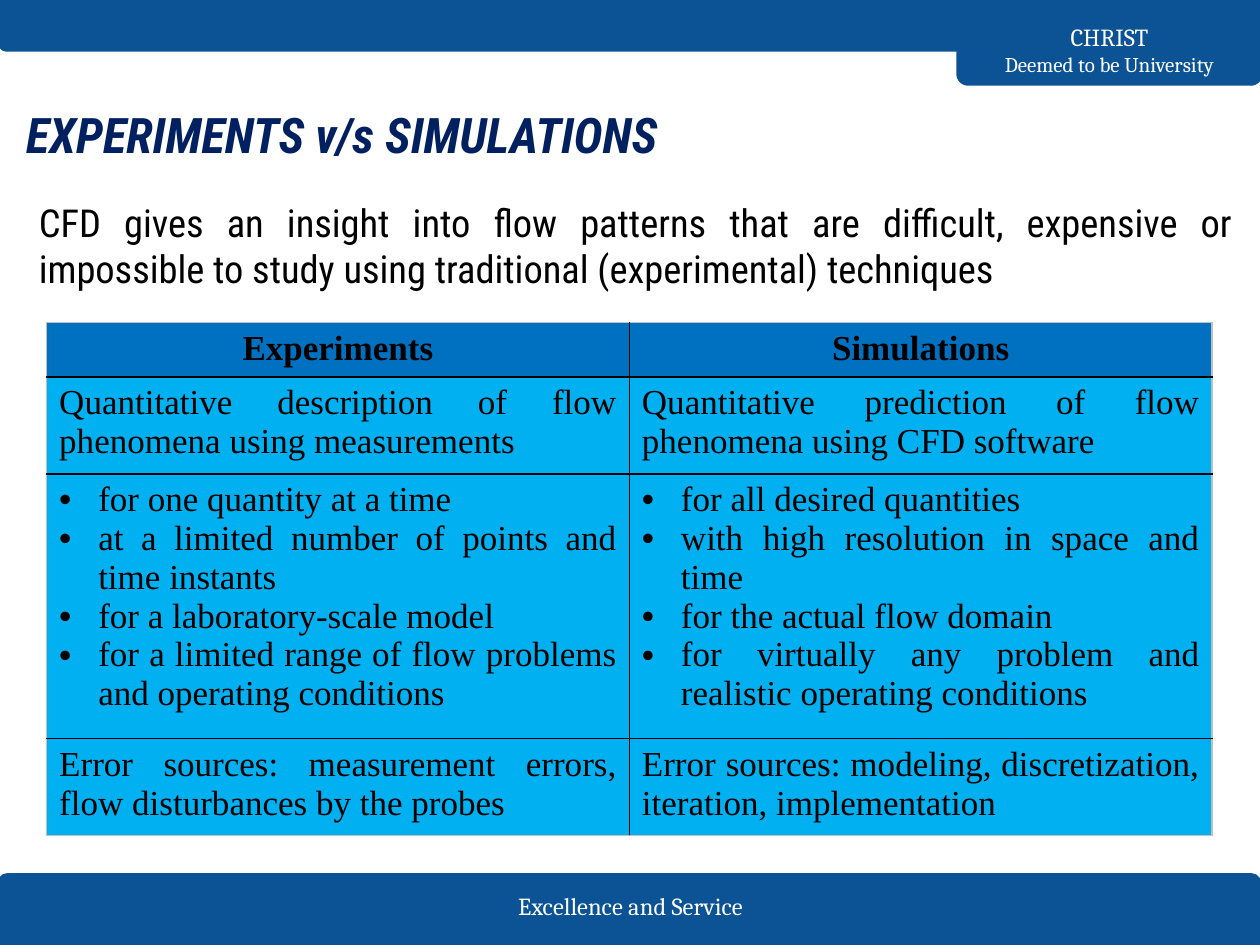
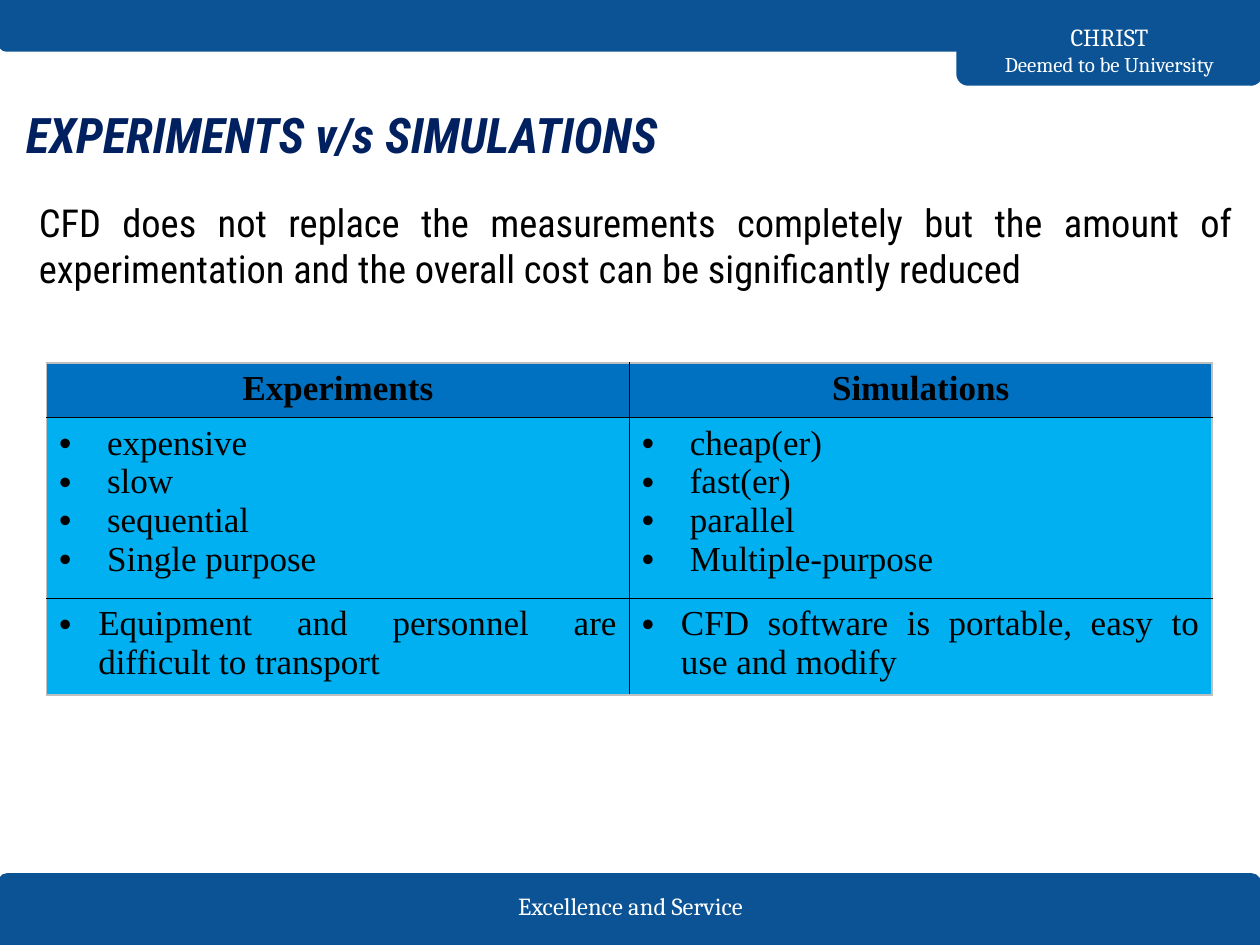
import lxml.etree
import pptx
import pptx.dml.color
import pptx.enum.shapes
import pptx.enum.text
import pptx.oxml.ns
import pptx.util

presentation = pptx.Presentation()
presentation.slide_width = pptx.util.Inches(10)
presentation.slide_height = pptx.util.Inches(7.5)
column = presentation.slide_width / 100
row = presentation.slide_height / 75

colours = {
    "band": "0B5394", "white": "FFFFFF", "title": "002060", "black": "000000",
    "header": "0070C0", "cell": "00B0F0", "edge": "BFBFBF",
}
align = pptx.enum.text.PP_ALIGN
anchor = pptx.enum.text.MSO_ANCHOR
point = pptx.util.Pt

fonts = {
    "band": ({"name": "Cambria", "size": point(14)}, "white"),
    "band small": ({"name": "Cambria", "size": point(12)}, "white"),
    "title": ({"name": "Roboto Condensed", "size": point(28), "bold": True, "italic": True}, "title"),
    "body": ({"name": "Roboto Condensed", "size": point(22)}, "black"),
    "header": ({"name": "Times New Roman", "size": point(20), "bold": True}, "black"),
    "cell": ({"name": "Times New Roman", "size": point(20), "bold": False}, "black"),
}

bands = [
    (-0.1, 69.4, 100.1, 5.6, 0),
    (76, 0, 24.1, 6.7, 180),
    (0, 0, 100.1, 4, 180),
]
title = "EXPERIMENTS v/s SIMULATIONS"
headings = ["Experiments", "Simulations"]
wide, narrow = 3.8, 3.1

slides = [
    {
        "lead": "CFD gives an insight into flow patterns that are difficult, expensive or "
                "impossible to study using traditional (experimental) techniques",
        "top": 25.6,
        "rows": [
            (7.1, 0, ["Quantitative description of flow phenomena using measurements"],
             ["Quantitative prediction of flow phenomena using CFD software"]),
            (19.5, narrow,
             ["for one quantity at a time",
              "at a limited number of points and time instants",
              "for a laboratory-scale model",
              "for a limited range of flow problems and operating conditions"],
             ["for all desired quantities",
              "with high resolution in space and time",
              "for the actual flow domain",
              "for virtually any problem and realistic operating conditions"]),
            (7.1, 0, ["Error sources: measurement errors, flow disturbances by the probes"],
             ["Error sources: modeling, discretization, iteration, implementation"]),
        ],
    },
    {
        "lead": "CFD does not replace the measurements completely but the amount of "
                "experimentation and the overall cost can be significantly reduced",
        "top": 28.8,
        "rows": [
            (13.3, wide, ["expensive", "slow", "sequential", "Single purpose"],
             ["cheap(er)", "fast(er)", "parallel", "Multiple-purpose"]),
            (7.1, narrow, ["Equipment and personnel are difficult to transport"],
             ["CFD software is portable, easy to use and modify"]),
        ],
    },
]


def colour(name):
    return pptx.dml.color.RGBColor.from_string(colours[name])


def write(paragraph, text, font_name, alignment):
    paragraph.alignment = alignment
    run = paragraph.add_run()
    run.text = text
    values, font_colour = fonts[font_name]
    for attribute, value in values.items():
        setattr(run.font, attribute, value)
    run.font.color.rgb = colour(font_colour)


for content in slides:
    slide = presentation.slides.add_slide(presentation.slide_layouts[6])

    for left, top, width, height, rotation in bands:
        shape = slide.shapes.add_shape(
            pptx.enum.shapes.MSO_SHAPE.ROUND_2_SAME_RECTANGLE,
            int(left * column), int(top * row), int(width * column), int(height * row))
        shape.adjustments[0] = 0.125
        shape.rotation = rotation
        shape.shadow.inherit = False
        shape.fill.solid()
        shape.fill.fore_color.rgb = colour("band")
        shape.line.color.rgb = colour("band")
        shape.line.width = point(1.5)

    texts = [
        (36.6, 70.3, 26.9, 3.2, anchor.MIDDLE, align.CENTER, [("Excellence and Service", "band")]),
        (76, 2.7, 24.1, 2.5, anchor.MIDDLE, align.CENTER,
         [("CHRIST", "band"), ("Deemed to be University", "band small")]),
        (1.1, 7.3, 79.7, 7.4, anchor.TOP, align.LEFT, [(title, "title")]),
        (1.1, 14.8, 97.7, 8.9, anchor.TOP, align.JUSTIFY, [(content["lead"], "body")]),
    ]
    for left, top, width, height, vertical, alignment, lines in texts:
        shape = slide.shapes.add_textbox(
            int(left * column), int(top * row), int(width * column), int(height * row))
        frame_format = {
            "word_wrap": True, "vertical_anchor": vertical,
            "margin_left": int(column), "margin_right": int(column),
            "margin_top": int(row), "margin_bottom": int(row),
        }
        for attribute, value in frame_format.items():
            setattr(shape.text_frame, attribute, value)
        paragraph = shape.text_frame.paragraphs[0]
        for number, (text, font_name) in enumerate(lines):
            if number:
                paragraph.add_line_break()
            write(paragraph, text, font_name, alignment)
    paragraph.space_after = point(12)
    paragraph._p.get_or_add_pPr().set("marL", str(int(column)))

    table_rows = [(4.1, 0, *[[heading] for heading in headings])] + content["rows"]
    heights = [table_row[0] for table_row in table_rows]
    table = slide.shapes.add_table(
        len(table_rows), len(headings), int(3.7 * column), int(content["top"] * row),
        int(92.5 * column), int(sum(heights) * row)).table

    for row_number, (height, indent, *cells) in enumerate(table_rows):
        table.rows[row_number].height = int(height * row)
        kind = "cell" if row_number else "header"
        for column_number, lines in enumerate(cells):
            cell = table.cell(row_number, column_number)
            outer_sides = {
                "a:lnL": column_number == 0,
                "a:lnR": column_number == len(cells) - 1,
                "a:lnT": row_number == 0,
                "a:lnB": row_number == len(table_rows) - 1,
            }
            for side, outer in outer_sides.items():
                border = lxml.etree.SubElement(
                    cell._tc.get_or_add_tcPr(), pptx.oxml.ns.qn(side), w=str(point(1)))
                fill = lxml.etree.SubElement(border, pptx.oxml.ns.qn("a:solidFill"))
                lxml.etree.SubElement(
                    fill, pptx.oxml.ns.qn("a:srgbClr"), val=colours["edge" if outer else "black"])
            cell.fill.solid()
            cell.fill.fore_color.rgb = colour(kind)
            for number, text in enumerate(lines):
                frame = cell.text_frame
                paragraph = frame.add_paragraph() if number else frame.paragraphs[0]
                if indent:
                    properties = paragraph._p.get_or_add_pPr()
                    properties.set("marL", str(int(indent * column)))
                    properties.set("indent", str(-int(indent * column)))
                    lxml.etree.SubElement(properties, pptx.oxml.ns.qn("a:buFont"), typeface="Arial")
                    lxml.etree.SubElement(properties, pptx.oxml.ns.qn("a:buChar"), char="•")
                write(paragraph, text, kind, align.JUSTIFY if row_number else align.CENTER)

presentation.save("out.pptx")
